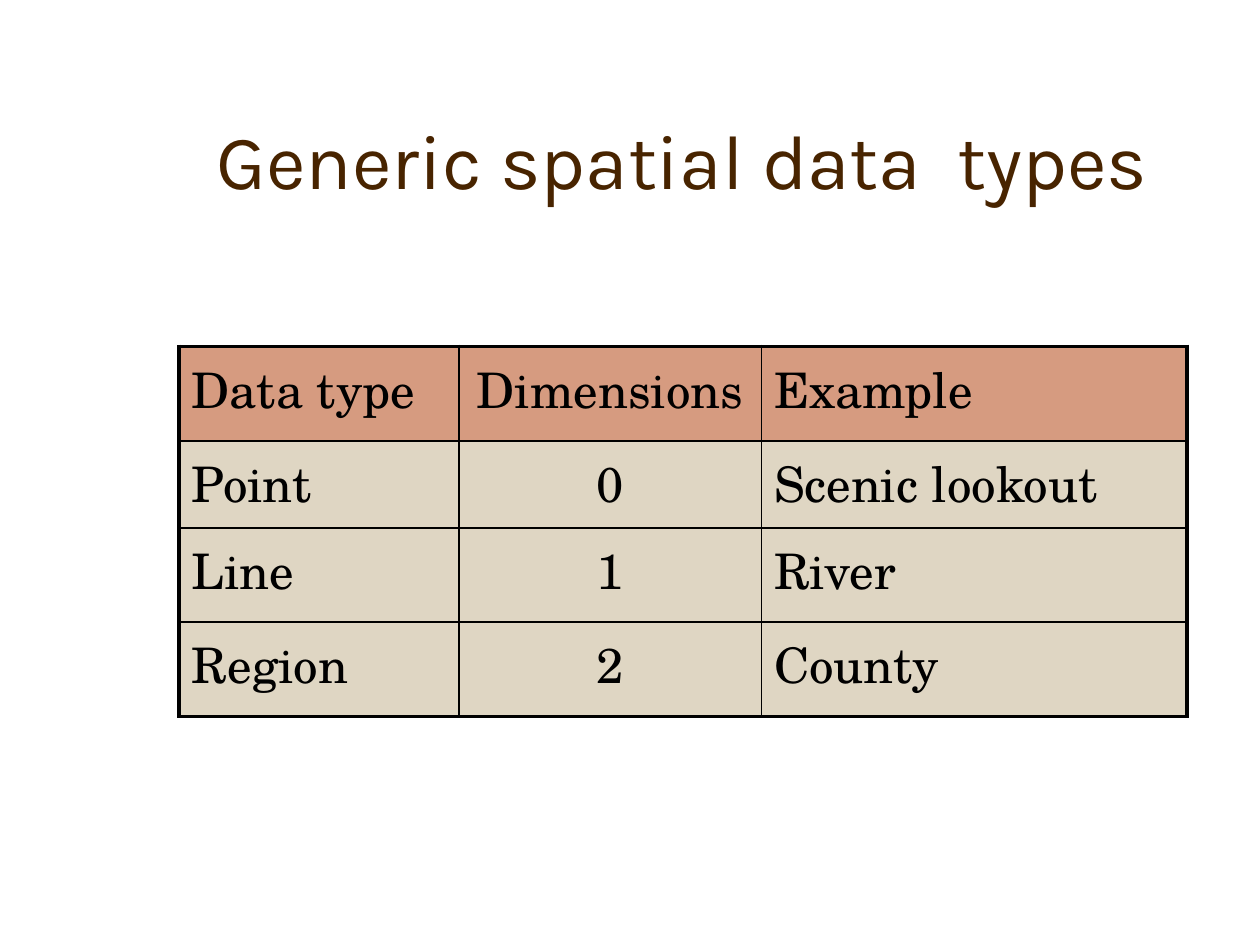
from dataclasses import dataclass

from lxml import etree
from pptx import Presentation
from pptx.dml.color import RGBColor
from pptx.enum.text import MSO_ANCHOR, MSO_AUTO_SIZE, PP_ALIGN
from pptx.oxml.ns import qn
from pptx.util import Cm, Pt

LEFT, CENTER = PP_ALIGN.LEFT, PP_ALIGN.CENTER
TOP, BOTTOM = MSO_ANCHOR.TOP, MSO_ANCHOR.BOTTOM
NO_AUTOFIT = MSO_AUTO_SIZE.NONE
TITLE_ONLY = 5


@dataclass(frozen=True)
class Theme:
    title_font: str = "Karla"
    table_font: str = "TeX Gyre Schola"
    title_size: int = 44
    table_size: int = 28
    title_color: str = "482400"
    text_color: str = "000000"
    header_fill: str = "D69B80"
    body_fill: str = "DFD6C3"
    border_color: str = "000000"
    inner_border: float = 1
    outer_border: float = 2.25


THEME = Theme()

TITLE = "Generic spatial data  types"
TITLE_BOX = (2.97, 1.07, 21.59, 3.18)
TABLE_BOX = (3.61, 6.98, 20.32, 7.46)
COLUMN_WIDTHS = (5.64, 6.1, 8.58)
ROW_HEIGHTS = (1.91, 1.75, 1.9, 1.9)
COLUMN_ALIGNMENTS = (LEFT, CENTER, LEFT)
ROWS = (
    ("Data type", "Dimensions", "Example"),
    ("Point", "0", "Scenic lookout"),
    ("Line", "1", "River"),
    ("Region", "2", "County"),
)


def format_paragraph(paragraph, alignment, name, size, color):
    paragraph.alignment = alignment
    font_format = {"name": name, "size": Pt(size), "bold": False}
    for attribute, value in font_format.items():
        setattr(paragraph.font, attribute, value)
    paragraph.font.color.rgb = RGBColor.from_string(color)


def add_border(cell, side, width):
    properties = cell._tc.get_or_add_tcPr()
    line = etree.SubElement(properties, qn(f"a:ln{side}"), w=str(Pt(width)))
    fill = etree.SubElement(line, qn("a:solidFill"))
    etree.SubElement(fill, qn("a:srgbClr"), val=THEME.border_color)


def place_title(slide, box):
    title = slide.shapes.title
    for attribute, length in zip(("left", "top", "width", "height"), box):
        setattr(title, attribute, Cm(length))
    frame = title.text_frame
    frame_format = {
        "text": TITLE,
        "word_wrap": True,
        "auto_size": NO_AUTOFIT,
        "vertical_anchor": BOTTOM,
    }
    for attribute, value in frame_format.items():
        setattr(frame, attribute, value)
    format_paragraph(frame.paragraphs[0], CENTER, THEME.title_font,
                     THEME.title_size, THEME.title_color)


def format_cell(cell, text, alignment, fill_color, outer_sides):
    cell.text = text
    cell.vertical_anchor = TOP
    format_paragraph(cell.text_frame.paragraphs[0], alignment,
                     THEME.table_font, THEME.table_size, THEME.text_color)
    for side, is_outer in outer_sides.items():
        add_border(cell, side,
                   THEME.outer_border if is_outer else THEME.inner_border)
    cell.fill.solid()
    cell.fill.fore_color.rgb = RGBColor.from_string(fill_color)


def place_data_types(slide, box):
    row_count, column_count = len(ROWS), len(COLUMN_WIDTHS)
    frame = slide.shapes.add_table(row_count, column_count, *map(Cm, box))
    table = frame.table
    for column, width in zip(table.columns, COLUMN_WIDTHS):
        column.width = Cm(width)
    for row, height in zip(table.rows, ROW_HEIGHTS):
        row.height = Cm(height)
    for row_index, texts in enumerate(ROWS):
        fill_color = THEME.body_fill if row_index else THEME.header_fill
        for column_index, text in enumerate(texts):
            outer_sides = {
                "L": column_index == 0,
                "R": column_index == column_count - 1,
                "T": row_index == 0,
                "B": row_index == row_count - 1,
            }
            format_cell(table.cell(row_index, column_index), text,
                        COLUMN_ALIGNMENTS[column_index], fill_color,
                        outer_sides)


def main():
    presentation = Presentation()
    presentation.slide_width = Cm(25.4)
    presentation.slide_height = Cm(19.05)
    slide = presentation.slides.add_slide(
        presentation.slide_layouts[TITLE_ONLY])
    place_title(slide, TITLE_BOX)
    place_data_types(slide, TABLE_BOX)
    presentation.save("out.pptx")


if __name__ == "__main__":
    main()
